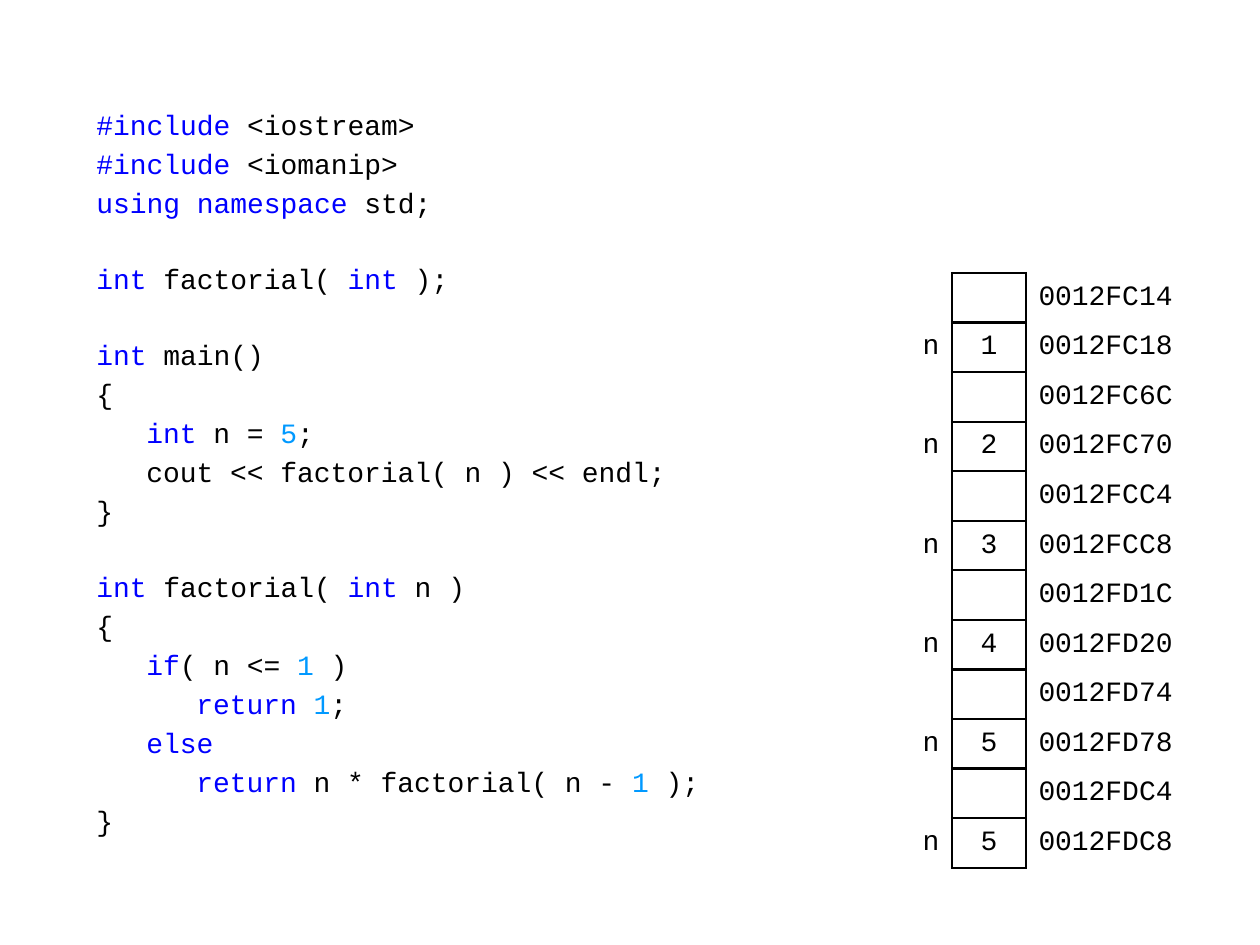
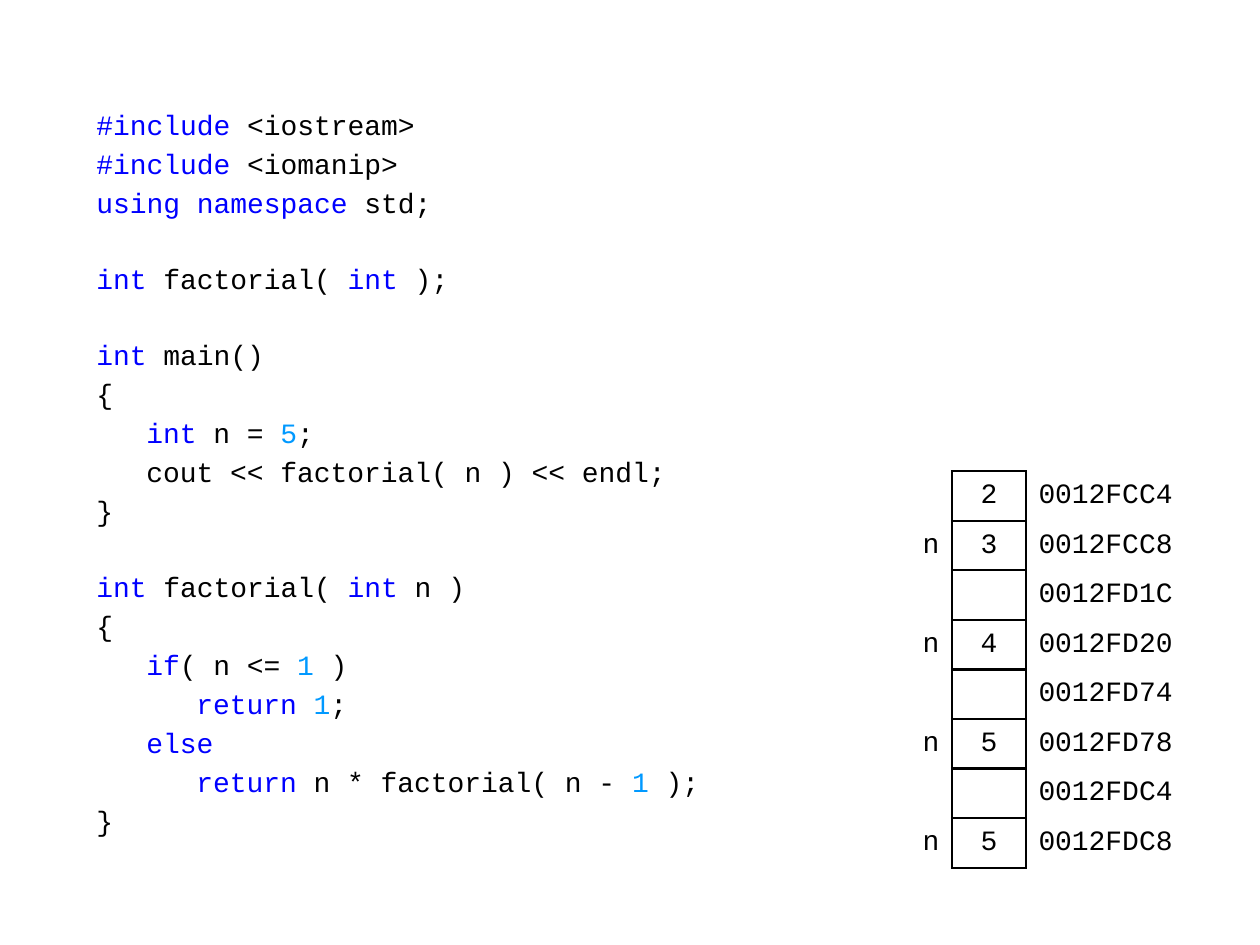
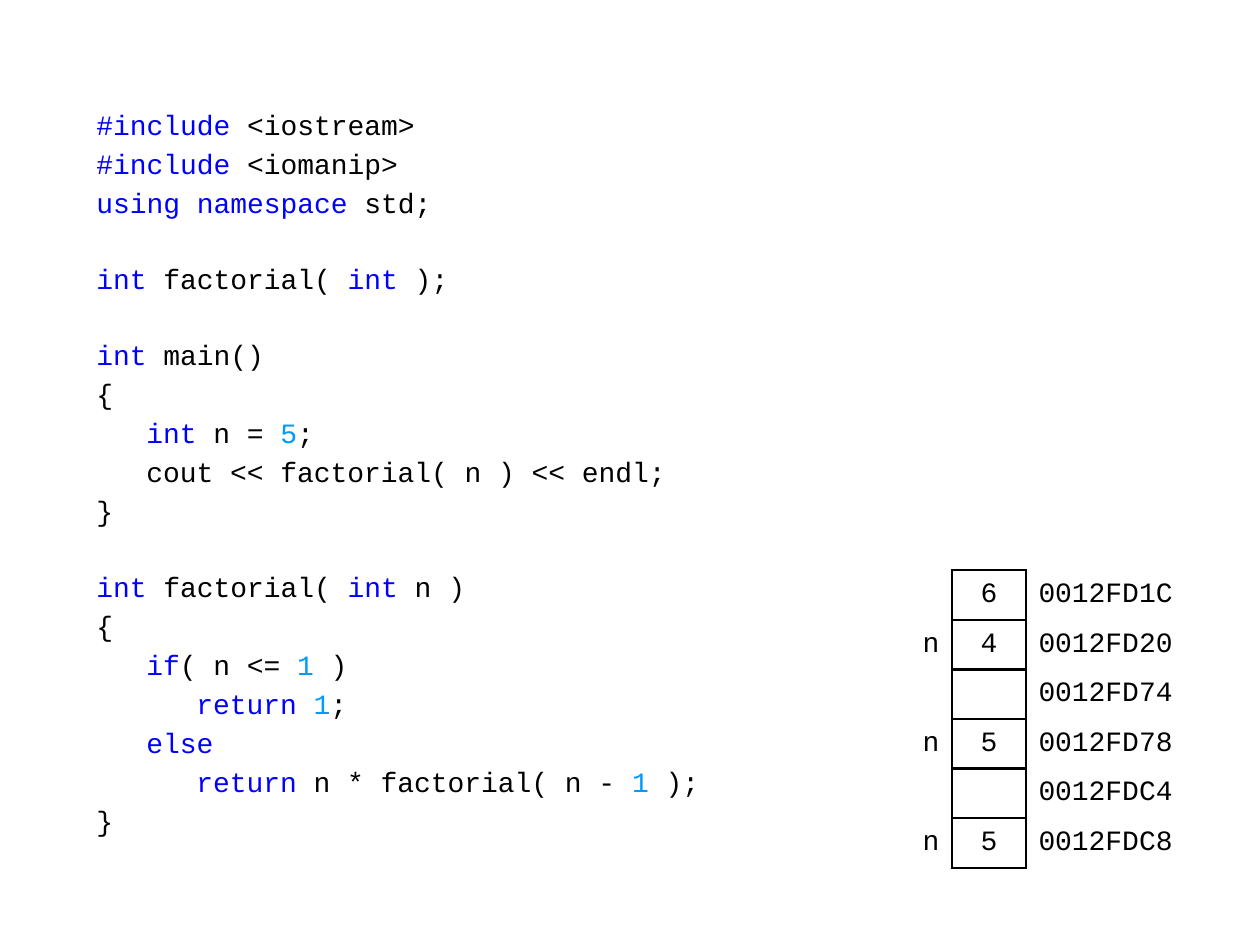
import dataclasses
import itertools

import pptx
import pptx.dml.color
import pptx.enum.text
import pptx.oxml
import pptx.util
from lxml import etree

ALIGN = pptx.enum.text.PP_ALIGN
MIDDLE = pptx.enum.text.MSO_ANCHOR.MIDDLE
NS = "http://schemas.openxmlformats.org/drawingml/2006/main"


@dataclasses.dataclass(frozen=True)
class Theme:
    font: str = "Courier New"
    size: int = 16
    ink: str = "000000"
    key: str = "0000FF"
    digit: str = "0099FF"
    gap: float = 3.1
    pitch: float = 21.2
    rule: float = 1.5


THEME = Theme()
SLIDE = (1260, 945)
CODE_BOX = (84, 101, 645, 719)
STACK_BOX = (903, 273, 297, 595)
COLUMNS = (49, 74, 174)
INDENT = 50

KEYS = {"#include", "using", "namespace", "int", "if", "else", "return"}
CODE = """\
#include <iostream>
#include <iomanip>
using namespace std;

int factorial( int );

int main()
{
   int n = 5;
   cout << factorial( n ) << endl;
}

int factorial( int n )
{
   if( n <= 1 )
      return 1;
   else
      return n * factorial( n - 1 );
}"""

CELLS = (
    ("", "0012FC14"), ("1", "0012FC18"),
    ("", "0012FC6C"), ("2", "0012FC70"),
    ("", "0012FCC4"), ("3", "0012FCC8"),
    ("", "0012FD1C"), ("4", "0012FD20"),
    ("", "0012FD74"), ("5", "0012FD78"),
    ("", "0012FDC4"), ("5", "0012FDC8"),
)
STATES = ((0, ""), (4, "2"), (6, "6"))


def px(count):
    return pptx.util.Emu(round(count * 914400 / 126))


def write(para, text, color=THEME.ink, align=ALIGN.LEFT):
    para.alignment = align
    run = para.add_run()
    run.text = text
    run.font.name = THEME.font
    run.font.size = pptx.util.Pt(THEME.size)
    run.font.color.rgb = pptx.dml.color.RGBColor.from_string(color)


def tint(token):
    if token in KEYS:
        return THEME.key
    return THEME.digit if token.isdigit() else THEME.ink


def tokens(line):
    groups = itertools.groupby(line, lambda char: char.isalnum() or char == "#")
    return ["".join(chars) for _, chars in groups]


def draw_code(slide, box):
    frame = slide.shapes.add_textbox(*map(px, box)).text_frame
    frame.word_wrap = True
    para = frame.paragraphs[0]
    blank = 0
    for row, line in enumerate(CODE.splitlines()):
        if not line:
            blank += 1
            continue
        if row:
            para = frame.add_paragraph()
        para.space_before = pptx.util.Pt(THEME.gap + blank * THEME.pitch)
        blank = 0
        body = line.lstrip()
        depth = (len(line) - len(body)) // 3
        if depth:
            props = para._p.get_or_add_pPr()
            props.set("marL", str(px(depth * INDENT)))
            props.set("indent", "0")
        for color, parts in itertools.groupby(tokens(body), tint):
            write(para, "".join(parts), color=color)


def border(cell, sides):
    props = cell._tc.get_or_add_tcPr()
    for side in sides:
        line = etree.SubElement(props, f"{{{NS}}}ln{side}")
        line.set("w", str(pptx.util.Pt(THEME.rule)))
        fill = etree.SubElement(line, f"{{{NS}}}solidFill")
        etree.SubElement(fill, f"{{{NS}}}srgbClr").set("val", THEME.ink)


def sides(row, col, top):
    if row < top:
        return "B" if (row, col) == (top - 1, 1) else ""
    return ("R", "LRTB", "L")[col]


def draw_stack(slide, box, top, result):
    count = len(CELLS)
    frame = slide.shapes.add_table(count, len(COLUMNS), *map(px, box))
    table = frame.table
    table.first_row = table.horz_banding = False
    for column, width in zip(table.columns, COLUMNS):
        column.width = px(width)
    aligns = (ALIGN.RIGHT, ALIGN.CENTER, ALIGN.LEFT)
    for row, (value, address) in enumerate(CELLS):
        table.rows[row].height = px(box[3] / count)
        texts = ("n" if value else "", result if row == top else value, address)
        for col, (text, align) in enumerate(zip(texts, aligns)):
            cell = table.cell(row, col)
            cell.vertical_anchor = MIDDLE
            cell.margin_top = cell.margin_bottom = px(5)
            border(cell, sides(row, col, top))
            cell.fill.background()
            if text and row >= top:
                write(cell.text_frame.paragraphs[0], text, align=align)
    for style in frame._element.xpath(".//a:tableStyleId"):
        style.text = "{2D5ABB26-0587-4C30-8999-92F81FD0307C}"


def main():
    deck = pptx.Presentation()
    deck.slide_width, deck.slide_height = map(px, SLIDE)
    for top, result in STATES:
        slide = deck.slides.add_slide(deck.slide_layouts[6])
        draw_code(slide, CODE_BOX)
        draw_stack(slide, STACK_BOX, top, result)
    deck.save("out.pptx")


if __name__ == "__main__":
    main()
